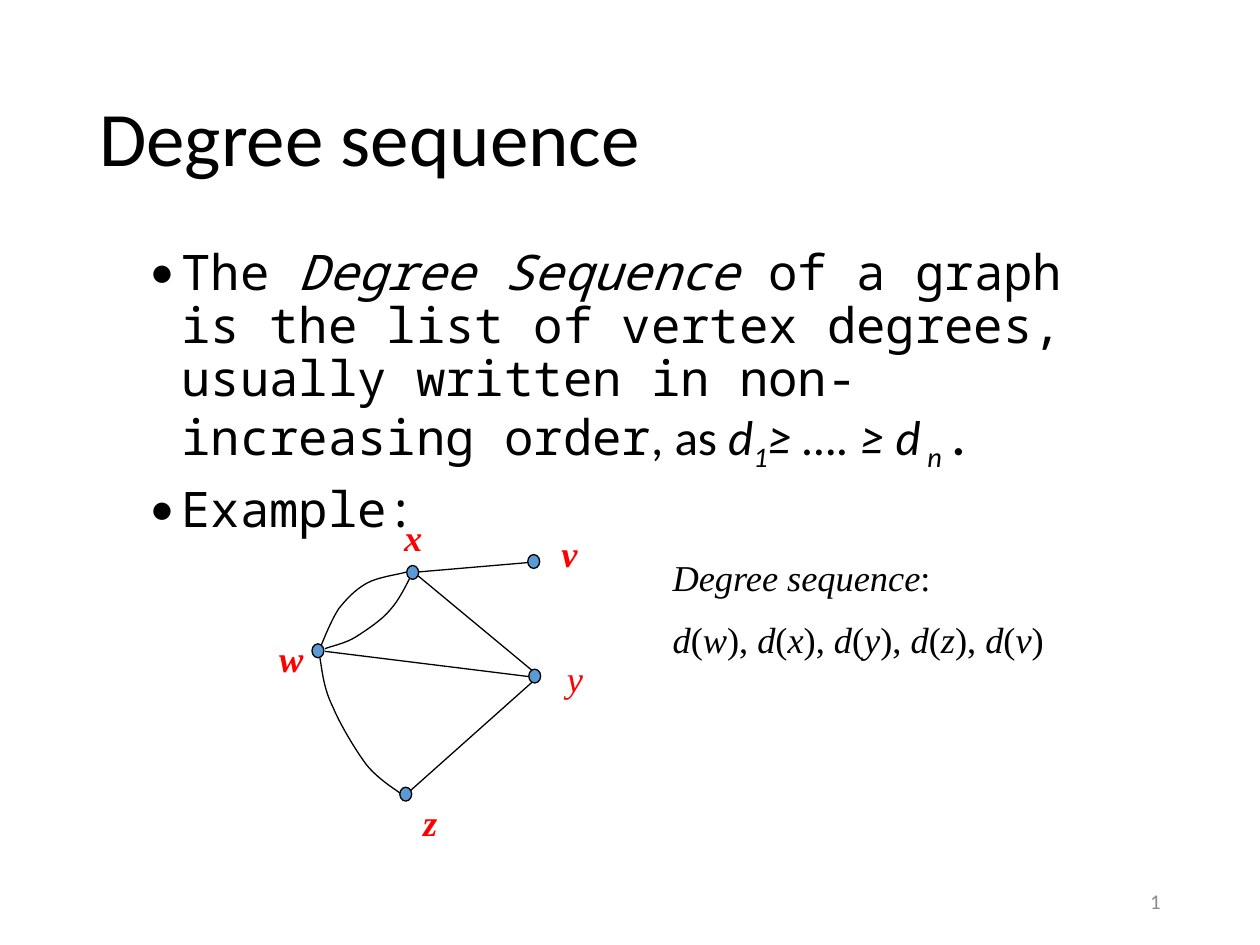
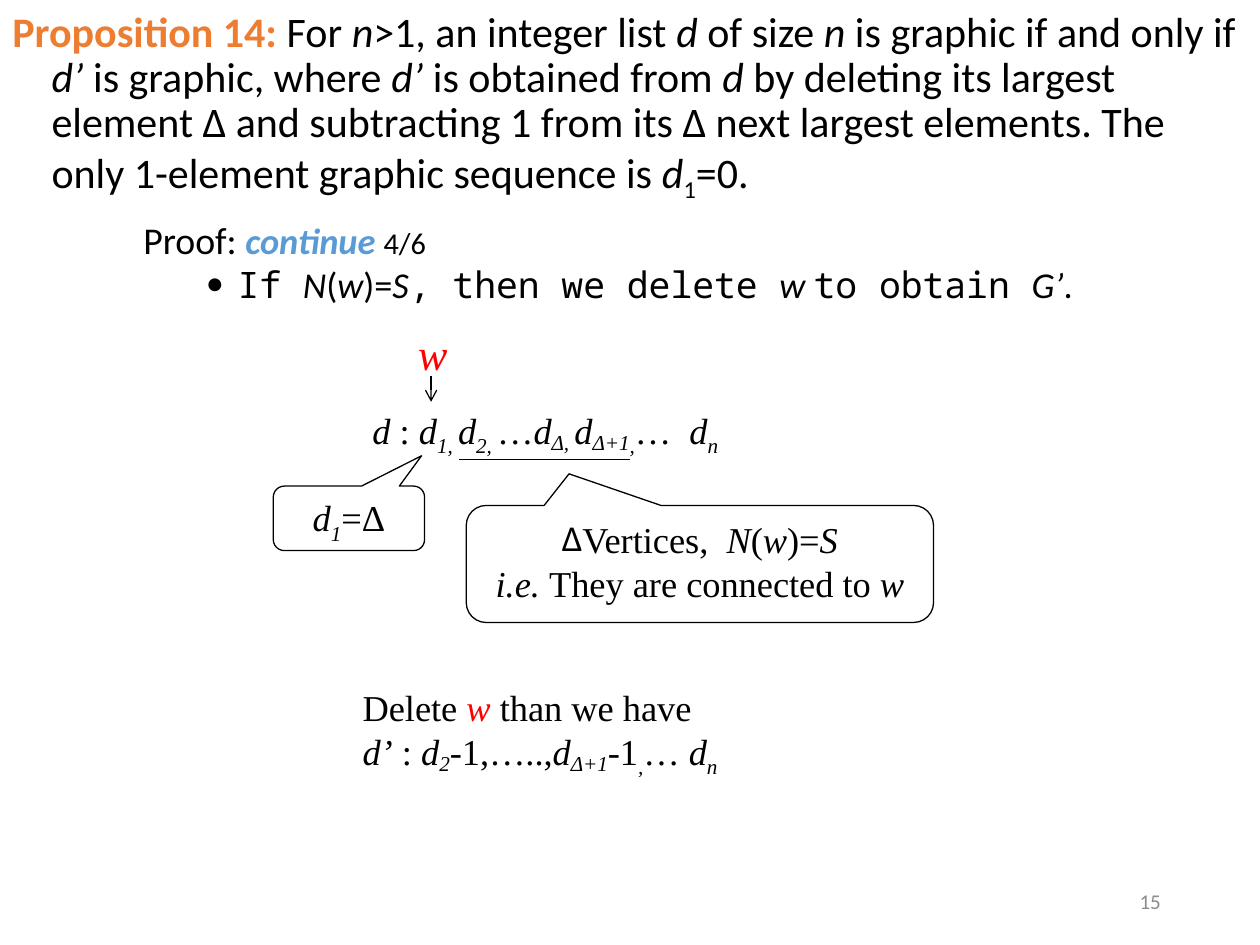
from dataclasses import dataclass, replace
from typing import NamedTuple

from lxml.etree import SubElement
from pptx import Presentation
from pptx.dml.color import RGBColor
from pptx.enum.shapes import MSO_CONNECTOR, MSO_SHAPE
from pptx.enum.text import MSO_ANCHOR, PP_ALIGN
from pptx.oxml.ns import qn
from pptx.shapes.autoshape import Shape
from pptx.shapes.connector import Connector
from pptx.slide import Slide
from pptx.text.text import TextFrame
from pptx.util import Cm, Pt

COLORS = {
    "black": "000000",
    "red": "FF0000",
    "blue": "5B9BD5",
    "orange": "ED7D31",
    "gray": "8C8C8C",
}
SANS = "Calibri"
MONO = "Noto Sans Mono"
SERIF = "Times New Roman"
LINE_WIDTH = Pt(0.75)
SUBSCRIPT = -25
SHALLOW = -16


class Box(NamedTuple):
    left: float
    top: float
    width: float
    height: float


class Point(NamedTuple):
    x: float
    y: float


class Segment(NamedTuple):
    start: Point
    end: Point


@dataclass(frozen=True)
class Run:
    text: str
    italic: bool = False
    bold: bool = False
    baseline: int = 0
    font: str | None = None
    size: float | None = None
    color: str | None = None


@dataclass(frozen=True)
class Block:
    runs: list[Run]
    align: PP_ALIGN = PP_ALIGN.LEFT
    line_spacing: float | None = None
    space_before: float = 0
    bullet: str | None = None
    margin: float = 0
    indent: float = 0


@dataclass(frozen=True)
class TextStyle:
    font: str
    size: float
    color: str = "black"


@dataclass(frozen=True)
class Vertex:
    name: str
    center: Point
    label: Point
    bold: bool = True


@dataclass(frozen=True)
class Callout:
    box: Box
    adjustments: tuple[float, float, float]
    blocks: list[Block]


TITLE = TextStyle(SANS, 44)
PROPOSITION = TextStyle(SANS, 24)
BODY = TextStyle(MONO, 28)
PROOF = TextStyle(SANS, 20.8)
FORMULA = TextStyle(SERIF, 20.8)
VERTEX_LABEL = replace(FORMULA, color="red")
DELETED_VERTEX = TextStyle(SERIF, 25.1, "red")
SLIDE_NUMBER = TextStyle(SANS, 12, "gray")
NUMBER_BOX = Box(17.93, 17.65, 5.72, 1.02)

VERTICES = [
    Vertex("w", Point(6.41, 13.12), Point(5.38, 12.7)),
    Vertex("x", Point(8.32, 11.54), Point(7.9, 10.26)),
    Vertex("y", Point(10.78, 13.63), Point(11.18, 13.11), bold=False),
    Vertex("z", Point(8.18, 16.01), Point(8.28, 16)),
    Vertex("v", Point(10.76, 11.32), Point(11.07, 10.59)),
]
STRAIGHT_EDGES = [
    Segment(Point(6.55, 13.13), Point(10.67, 13.64)),
    Segment(Point(8.26, 15.95), Point(10.74, 13.74)),
    Segment(Point(8.43, 11.61), Point(10.72, 13.51)),
    Segment(Point(8.43, 11.53), Point(10.77, 11.33)),
]
CURVED_EDGES = [
    [(6.45, 13.26), (6.5, 13.56), (6.53, 13.89), (6.71, 14.25), (6.86, 14.61),
     (7.16, 15.11), (7.39, 15.42), (7.62, 15.7), (7.92, 15.88), (8.08, 16)],
    [(6.48, 13), (6.53, 12.88), (6.68, 12.5), (6.83, 12.27), (6.99, 12.07),
     (7.16, 11.89), (7.39, 11.76), (7.62, 11.63), (8.05, 11.58), (8.2, 11.53)],
    [(6.55, 13.08), (6.65, 13.03), (6.96, 12.98), (7.19, 12.83), (7.39, 12.7),
     (7.7, 12.5), (7.87, 12.29), (8.05, 12.09), (8.18, 11.81), (8.26, 11.66)],
]


def italic(text: str, baseline: int = 0, font: str | None = None) -> Run:
    return Run(text, italic=True, baseline=baseline, font=font)


def rgb(name: str) -> RGBColor:
    return RGBColor.from_string(COLORS[name])


def write_blocks(frame: TextFrame, blocks: list[Block], style: TextStyle) -> None:
    frame.word_wrap = True
    for index, block in enumerate(blocks):
        paragraph = frame.add_paragraph() if index else frame.paragraphs[0]
        paragraph.alignment = block.align
        if block.line_spacing:
            paragraph.line_spacing = block.line_spacing
        if index:
            paragraph.space_before = Pt(block.space_before)
        properties = paragraph._p.get_or_add_pPr()
        properties.set("marL", str(Cm(block.margin)))
        properties.set("indent", str(Cm(block.indent)))
        if block.bullet:
            SubElement(properties, qn("a:buFont")).set("typeface", SANS)
            SubElement(properties, qn("a:buChar")).set("char", block.bullet)
        for item in block.runs:
            run = paragraph.add_run()
            run.text = item.text
            run.font.name = item.font or style.font
            run.font.size = Pt(item.size or style.size)
            run.font.bold = item.bold
            run.font.italic = item.italic
            run.font.color.rgb = rgb(item.color or style.color)
            if item.baseline:
                run.font._element.set("baseline", str(item.baseline * 1000))


def add_text(slide: Slide, box: Box, blocks: list[Block], style: TextStyle,
             anchor: MSO_ANCHOR = MSO_ANCHOR.TOP) -> None:
    frame = slide.shapes.add_textbox(*map(Cm, box)).text_frame
    frame.vertical_anchor = anchor
    write_blocks(frame, blocks, style)


def add_slide_number(slide: Slide, number: int) -> None:
    block = Block([Run(str(number))], align=PP_ALIGN.RIGHT)
    add_text(slide, NUMBER_BOX, [block], SLIDE_NUMBER, MSO_ANCHOR.MIDDLE)


def outline(shape: Shape, fill: str | None = None) -> None:
    shape.shadow.inherit = False
    shape.line.color.rgb = rgb("black")
    shape.line.width = LINE_WIDTH
    if fill:
        shape.fill.solid()
        shape.fill.fore_color.rgb = rgb(fill)
    else:
        shape.fill.background()


def add_line(slide: Slide, segment: Segment) -> Connector:
    connector = slide.shapes.add_connector(
        MSO_CONNECTOR.STRAIGHT, *map(Cm, (*segment.start, *segment.end)))
    connector.line.color.rgb = rgb("black")
    connector.line.width = LINE_WIDTH
    SubElement(connector._element.spPr, qn("a:effectLst"))
    return connector


def add_arrow(slide: Slide, segment: Segment) -> None:
    line = add_line(slide, segment)._element.spPr.find(qn("a:ln"))
    SubElement(line, qn("a:tailEnd")).set("type", "arrow")


def add_curve(slide: Slide, points: list[tuple[float, float]]) -> None:
    start, *others = [(Cm(x), Cm(y)) for x, y in points]
    builder = slide.shapes.build_freeform(*start)
    builder.add_line_segments(others, close=False)
    shape = builder.convert_to_shape()
    outline(shape)
    route = next(shape._element.iter(qn("a:path")))
    steps = route.findall(qn("a:lnTo"))
    for first in range(0, len(steps), 3):
        curve = SubElement(route, qn("a:cubicBezTo"))
        for step in steps[first:first + 3]:
            curve.append(step[0])
            route.remove(step)


def add_vertex(slide: Slide, vertex: Vertex) -> None:
    width, height = 0.24, 0.28
    x, y = vertex.center
    dot = slide.shapes.add_shape(
        MSO_SHAPE.OVAL, Cm(x - width / 2), Cm(y - height / 2), Cm(width), Cm(height))
    outline(dot, "blue")
    label = Block([Run(vertex.name, italic=True, bold=vertex.bold)])
    add_text(slide, Box(*vertex.label, 0.97, 1.14), [label], VERTEX_LABEL)


def add_callout(slide: Slide, callout: Callout) -> None:
    shape = slide.shapes.add_shape(
        MSO_SHAPE.ROUNDED_RECTANGULAR_CALLOUT, *map(Cm, callout.box))
    for index, value in enumerate(callout.adjustments):
        shape.adjustments[index] = value
    outline(shape)
    shape.text_frame.vertical_anchor = MSO_ANCHOR.TOP
    write_blocks(shape.text_frame, callout.blocks, FORMULA)


def build_degree_sequence(slide: Slide) -> None:
    add_text(slide, Box(1.75, 1.02, 21.89, 3.68),
             [Block([Run("Degree sequence")], line_spacing=0.9)],
             TITLE, MSO_ANCHOR.MIDDLE)
    definition = Block([
        Run("The "), italic("Degree Sequence"),
        Run(" of a graph is the list of vertex degrees, "
            "usually written in non-increasing order"),
        Run(", as ", font=SANS), italic("d", font=SANS),
        italic("1", SUBSCRIPT, SANS), italic("≥ …. ≥ d", font=SANS),
        italic(" n", SUBSCRIPT, SANS), Run(" .", italic=True, bold=True, font=SANS),
    ], line_spacing=0.9, space_before=10, bullet="•", margin=0.64, indent=-0.64)
    add_text(slide, Box(2.77, 4.88, 19.86, 5.26),
             [definition, replace(definition, runs=[Run("Example:")])], BODY)

    for edge in STRAIGHT_EDGES:
        add_line(slide, edge)
    for points in CURVED_EDGES:
        add_curve(slide, points)
    for vertex in VERTICES:
        add_vertex(slide, vertex)

    degrees = []
    for vertex in VERTICES:
        closing = ")" if vertex is VERTICES[-1] else "), "
        degrees += [italic("d"), Run("("), italic(vertex.name), Run(closing)]
    add_text(slide, Box(13.31, 11.07, 8.2, 2.49),
             [Block([italic("Degree sequence"), Run(":")]),
              Block(degrees, space_before=10.4)], FORMULA)
    add_slide_number(slide, 1)


def build_proposition(slide: Slide) -> None:
    proposition = Block([
        Run("Proposition 14: ", bold=True, color="orange"),
        Run("For "), italic("n"), Run(">1, an integer list "), italic("d"),
        Run(" of size "), italic("n"), Run(" is graphic if and only if "),
        italic("d’"), Run(" is graphic, where "), italic("d’"),
        Run(" is obtained from "), italic("d"),
        Run(" by deleting its largest element Δ and subtracting 1 from its Δ next "
            "largest elements. The only 1-element graphic sequence is "),
        italic("d"), Run("1", baseline=SUBSCRIPT), Run("=0."),
    ], line_spacing=0.9, margin=0.79, indent=-0.79)
    add_text(slide, Box(0, 0, 25.4, 4.22), [proposition], PROPOSITION, MSO_ANCHOR.MIDDLE)

    proof = Block([
        Run("Proof: ", size=21.6),
        Run("continue ", italic=True, bold=True, color="blue"), Run("4/6", size=17.3),
    ], line_spacing=0.8, margin=0.64, indent=-0.64)
    case = Block([
        Run("If ", font=MONO), italic("N"), Run("("), italic("w"), Run(")="),
        italic("S"), Run(", then we delete ", font=MONO), italic("w "),
        Run("to obtain ", font=MONO), italic("G’"), Run("."),
    ], line_spacing=0.8, space_before=5, bullet="•", margin=1.9, indent=-0.64)
    add_text(slide, Box(2.64, 4.42, 20.04, 2.29), [proof, case], PROOF)

    sequence = Block([
        italic("d"), Run(" : "), italic("d"), italic("1, ", SUBSCRIPT), italic("d"),
        italic("2, ", SUBSCRIPT), Run("…"), italic("d"), italic("Δ, ", SHALLOW),
        italic("d"), italic("Δ+1", SHALLOW), italic(",", SUBSCRIPT), Run("…  "),
        italic("d"), italic("n", SUBSCRIPT),
    ])
    add_text(slide, Box(7.26, 8.1, 10.13, 1.14), [sequence], FORMULA)
    add_callout(slide, Callout(Box(9.4, 10.19, 9.42, 2.36), (-0.28, -0.77, 0.17), [
        Block([Run("Vertices,  "), italic("N"), Run("("), italic("w"), Run(")="),
               italic("S")], align=PP_ALIGN.CENTER, bullet="Δ"),
        Block([italic("i.e. "), Run("They are connected to "), italic("w")],
              align=PP_ALIGN.CENTER),
    ]))
    add_line(slide, Segment(Point(9.25, 9.27), Point(12.7, 9.27)))
    add_callout(slide, Callout(Box(5.51, 9.8, 3.05, 1.3), (0.48, -0.97, 0.17), [
        Block([italic("d"), italic("1", SUBSCRIPT), Run("=Δ")], align=PP_ALIGN.CENTER),
    ]))
    add_text(slide, Box(8.18, 6.45, 1.04, 1.32), [Block([italic("w")])], DELETED_VERTEX)
    add_arrow(slide, Segment(Point(8.69, 7.57), Point(8.69, 8.1)))

    deletion = Block([
        Run("Delete "), Run("w ", italic=True, color="red"), Run("than we have"),
    ])
    result = Block([
        italic("d’"), Run(" : "), italic("d"), italic("2", SHALLOW), Run("-1,…..,"),
        italic("d"), italic("Δ+1", SHALLOW), Run("-1"), italic(",", SUBSCRIPT),
        Run("… "), italic("d"), italic("n", SUBSCRIPT),
    ])
    add_text(slide, Box(7.06, 13.69, 8.43, 2.03), [deletion, result], FORMULA)
    add_slide_number(slide, 15)


def main() -> None:
    presentation = Presentation()
    presentation.slide_width = Cm(25.4)
    presentation.slide_height = Cm(19.05)
    for build in (build_degree_sequence, build_proposition):
        build(presentation.slides.add_slide(presentation.slide_layouts[6]))
    presentation.save("out.pptx")


if __name__ == "__main__":
    main()
